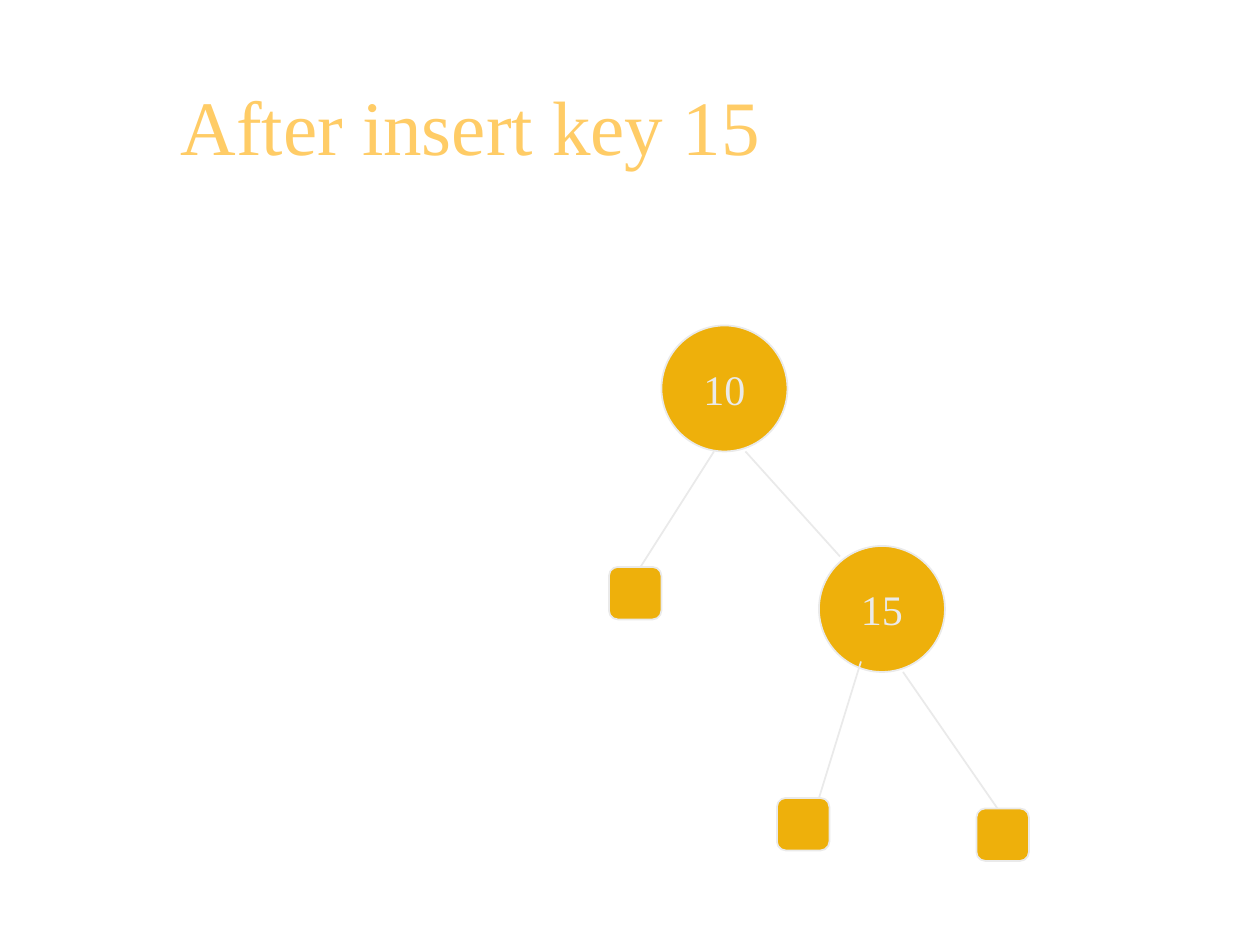
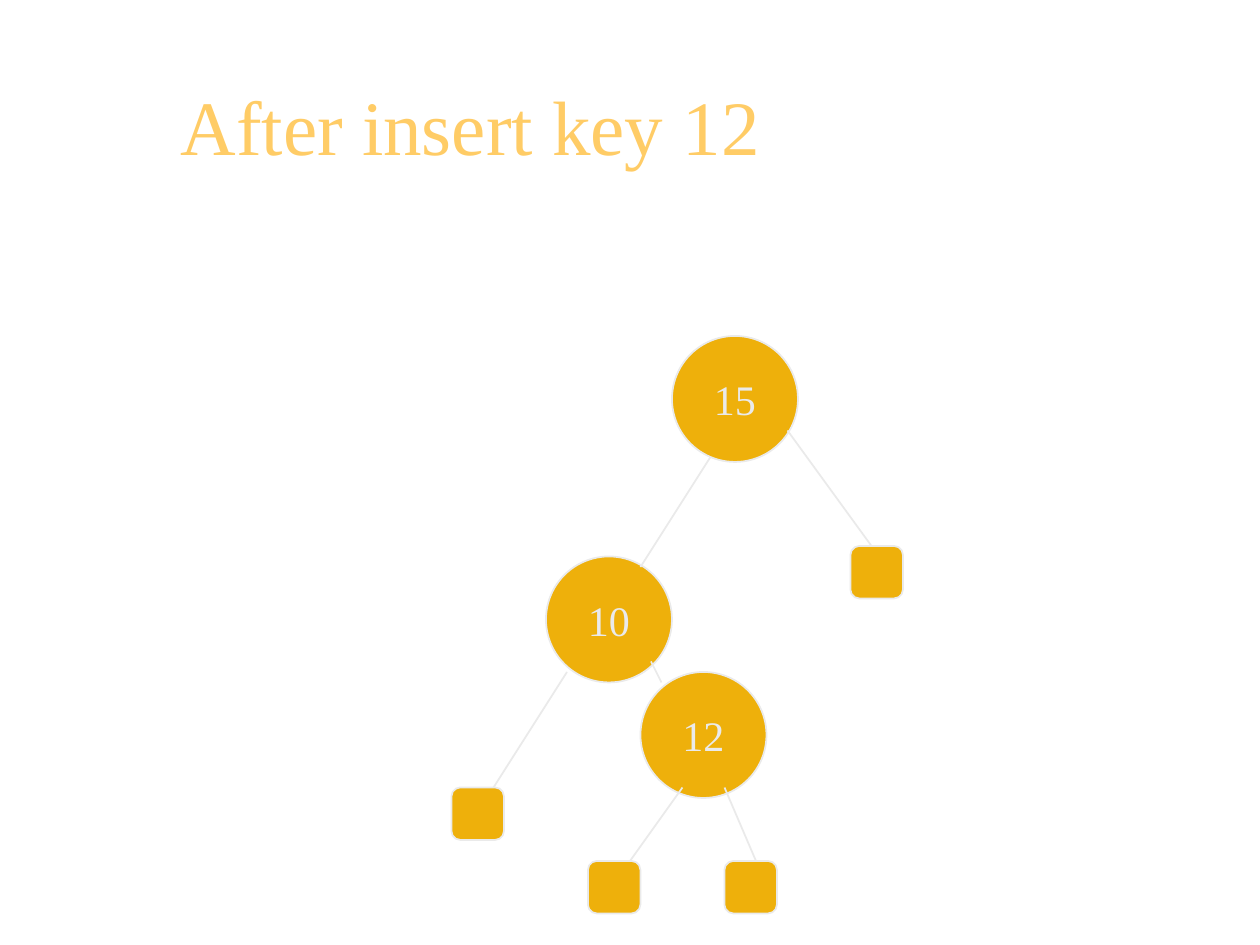
"""Build two slides of binary search trees after inserting keys 15 and 12."""
from lxml.etree import SubElement
from pptx import Presentation
from pptx.dml.color import RGBColor
from pptx.enum.shapes import MSO_CONNECTOR, MSO_SHAPE
from pptx.enum.text import MSO_ANCHOR, MSO_AUTO_SIZE, PP_ALIGN
from pptx.oxml.ns import qn
from pptx.util import Inches, Pt

GOLD = RGBColor(0xEE, 0xB0, 0x0B)
PALE = RGBColor(0xEA, 0xEA, 0xEA)
TITLE = RGBColor(0xFF, 0xCC, 0x66)
FONT = "Times New Roman"

COLS, ROWS = 120, 90
CELL = Inches(10) / COLS
NODE, LEAF = 12, 5

TREES = {
    "After insert key 15": [
        ("node", 63, 31, "10"),
        ("leaf", 58, 54),
        ("leaf", 74, 76),
        ("edge", 68, 43, 61, 54),
        ("edge", 71, 43, 80, 53),
        ("leaf", 93, 77),
        ("node", 78, 52, "15"),
        ("edge", 78, 76, 82, 63),
        ("edge", 95, 77, 86, 64),
    ],
    "After insert key 12": [
        ("node", 52, 53, "10"),
        ("leaf", 43, 75),
        ("leaf", 56, 82),
        ("edge", 68, 43, 61, 54),
        ("leaf", 81, 52),
        ("node", 64, 32, "15"),
        ("edge", 47, 75, 54, 64),
        ("edge", 83, 52, 75, 41),
        ("leaf", 69, 82),
        ("node", 61, 64, "12"),
        ("edge", 62, 63, 63, 65),
        ("edge", 60, 82, 65, 75),
        ("edge", 72, 82, 69, 75),
    ],
}


def grid(*cells):
    return [round(c * CELL) for c in cells]


def write(sp, text, align, size, color, wrap):
    tf = sp.text_frame
    tf.text = text
    frame = {"word_wrap": wrap, "auto_size": MSO_AUTO_SIZE.NONE,
             "vertical_anchor": MSO_ANCHOR.MIDDLE}
    for name, value in frame.items():
        setattr(tf, name, value)
    p = tf.paragraphs[0]
    p.alignment = align
    font = p.runs[0].font
    for name, value in {"name": FONT, "size": Pt(size)}.items():
        setattr(font, name, value)
    font.color.rgb = color


prs = Presentation()
prs.slide_width, prs.slide_height = grid(COLS, ROWS)

for heading, parts in TREES.items():
    s = prs.slides.add_slide(prs.slide_layouts[5])
    title = s.shapes.title
    title.left, title.top, title.width, title.height = grid(16, 4, 102, 15.84)
    write(title, heading, PP_ALIGN.LEFT, 44, TITLE, True)

    for kind, col, row, *rest in parts:
        if kind == "edge":
            sp = s.shapes.add_connector(MSO_CONNECTOR.STRAIGHT, *grid(col, row, *rest))
            SubElement(sp._element.spPr, qn("a:effectLst"))
        elif kind == "node":
            sp = s.shapes.add_shape(MSO_SHAPE.OVAL, *grid(col, row, NODE, NODE))
            write(sp, rest[0], PP_ALIGN.CENTER, 24, PALE, False)
        else:
            sp = s.shapes.add_shape(MSO_SHAPE.ROUNDED_RECTANGLE, *grid(col, row, LEAF, LEAF))
            sp.adjustments[0] = 0.17
        if kind != "edge":
            sp.shadow.inherit = False
            sp.fill.solid()
            sp.fill.fore_color.rgb = GOLD
        sp.line.color.rgb = PALE
        sp.line.width = Pt(1)

prs.save("out.pptx")
